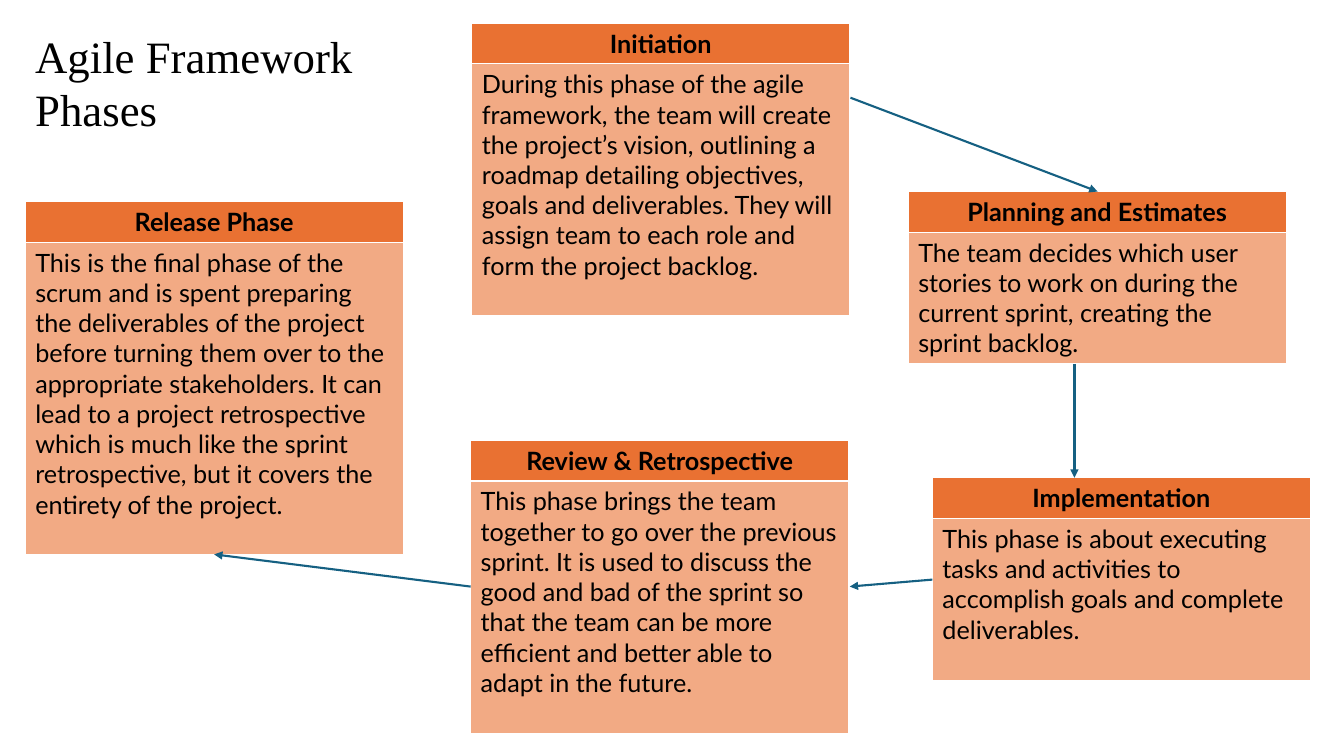
from lxml.etree import SubElement
from pptx import Presentation
from pptx.dml.color import RGBColor
from pptx.enum.shapes import MSO_CONNECTOR
from pptx.enum.text import MSO_AUTO_SIZE, PP_ALIGN
from pptx.oxml.ns import qn
from pptx.util import Pt

COLORS = {"text": "000000", "header": "E97132", "body": "F2AA84", "arrow": "156082"}
CARD_WIDTH = 270
HEADER_HEIGHT = 29

# Left, top, height, heading, description
PHASES = [
    (337, 16.6, 208.8, "Initiation",
     "During this phase of the agile framework, the team will create the project’s vision, "
     "outlining a roadmap detailing objectives, goals and deliverables. They will assign team "
     "to each role and form the project backlog."),
    (648.7, 136.8, 123, "Planning and Estimates",
     "The team decides which user stories to work on during the current sprint, creating the "
     "sprint backlog."),
    (666, 341.3, 144.7, "Implementation",
     "This phase is about executing tasks and activities to accomplish goals and complete "
     "deliverables."),
    (336.2, 314.6, 209.5, "Review & Retrospective",
     "This phase brings the team together to go over the previous sprint. It is used to discuss "
     "the good and bad of the sprint so that the team can be more efficient and better able to "
     "adapt in the future."),
    (18, 144, 252, "Release Phase",
     "This is the final phase of the scrum and is spent preparing the deliverables of the "
     "project before turning them over to the appropriate stakeholders. It can lead to a project "
     "retrospective which is much like the sprint retrospective, but it covers the entirety of "
     "the project."),
]

# Start x, start y, end x, end y
ARROWS = [
    (607.5, 69.8, 784, 136.8),
    (767.5, 260, 767.5, 341.3),
    (666, 414, 607, 419),
    (336.2, 419, 153, 396),
]


def write_text(paragraph, text, size=18, font="Lato", bold=False, align=PP_ALIGN.LEFT):
    paragraph.alignment = align
    run = paragraph.add_run()
    run.text = text
    run.font.size = Pt(size)
    run.font.name = font
    run.font.bold = bold
    run.font.color.rgb = RGBColor.from_string(COLORS["text"])


def add_title(slide, left, top, width, height, lines):
    text_box = slide.shapes.add_textbox(Pt(left), Pt(top), Pt(width), Pt(height))
    frame = text_box.text_frame
    frame.word_wrap = False
    frame.auto_size = MSO_AUTO_SIZE.SHAPE_TO_FIT_TEXT
    for index, line in enumerate(lines):
        paragraph = frame.add_paragraph() if index else frame.paragraphs[0]
        write_text(paragraph, line, size=32, font="Times New Roman")


def add_phase_card(slide, left, top, height, heading, description):
    """Add a two-row table; its default style supplies the white borders."""
    table = slide.shapes.add_table(
        2, 1, Pt(left), Pt(top), Pt(CARD_WIDTH), Pt(height)).table
    table.horz_banding = False
    table.rows[0].height = Pt(HEADER_HEIGHT)
    table.rows[1].height = Pt(height - HEADER_HEIGHT)
    header, body = table.cell(0, 0), table.cell(1, 0)
    for cell, color in ((header, "header"), (body, "body")):
        cell.fill.solid()
        cell.fill.fore_color.rgb = RGBColor.from_string(COLORS[color])
    write_text(header.text_frame.paragraphs[0], heading, bold=True, align=PP_ALIGN.CENTER)
    write_text(body.text_frame.paragraphs[0], description)


def add_arrow(slide, *ends):
    connector = slide.shapes.add_connector(
        MSO_CONNECTOR.STRAIGHT, *(Pt(value) for value in ends))
    connector.line.width = Pt(1.5)
    connector.line.color.rgb = RGBColor.from_string(COLORS["arrow"])
    SubElement(connector.line._get_or_add_ln(), qn("a:tailEnd"), type="triangle")
    SubElement(connector._element.spPr, qn("a:effectLst"))


def main():
    presentation = Presentation()
    presentation.slide_width = Pt(960)
    presentation.slide_height = Pt(540)
    slide = presentation.slides.add_slide(presentation.slide_layouts[6])
    add_title(slide, 18, 16.6, 251, 85, ["Agile Framework", "Phases"])
    for phase in PHASES:
        add_phase_card(slide, *phase)
    for arrow in ARROWS:
        add_arrow(slide, *arrow)
    presentation.save("out.pptx")


if __name__ == "__main__":
    main()
